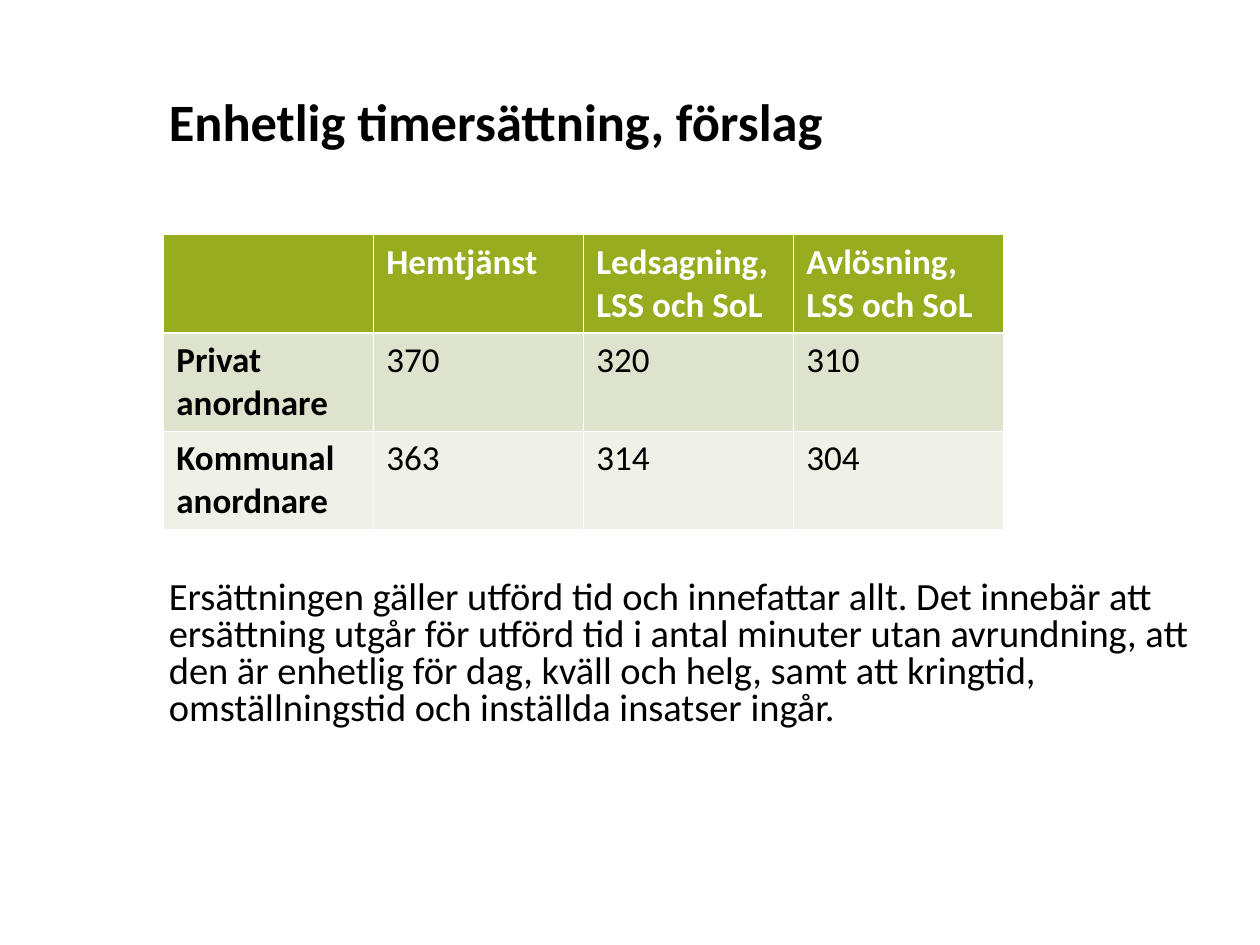
import pptx
import pptx.util
import pptx.dml.color
import pptx.enum.text
import pptx.oxml
import pptx.oxml.ns
from dataclasses import dataclass

Pt = pptx.util.Pt
RGB = pptx.dml.color.RGBColor.from_string

TITLE = "Enhetlig timersättning, förslag"
BODY = (
    "Ersättningen gäller utförd tid och innefattar allt. Det innebär att "
    "ersättning utgår för utförd tid i antal minuter utan avrundning, att "
    "den är enhetlig för dag, kväll och helg, samt att kringtid, "
    "omställningstid och inställda insatser ingår."
)
RATES = [
    ("", "Hemtjänst", "Ledsagning,\nLSS och SoL", "Avlösning,\nLSS och SoL"),
    ("Privat anordnare", "370", "320", "310"),
    ("Kommunal anordnare", "363", "314", "304"),
]


@dataclass(frozen=True)
class Theme:
    font: str = "Calibri"
    title_size: float = 30
    body_size: float = 22
    table_size: float = 20
    ink: str = "000000"
    white: str = "FFFFFF"
    row_fills: tuple = ("97AC1E", "DDE3CC", "EFF1E7")
    thin_rule: float = 0.45
    header_rule: float = 1.47


THEME = Theme()
TEXT_LEFT, TEXT_WIDTH = 89.3, 611.3
TITLE_TOP, TITLE_HEIGHT = 21.6, 90
BODY_TOP, BODY_HEIGHT = 126, 331.2
BODY_TEXT_OFFSET = 206  # clears the table lying over the upper body
TABLE_LEFT, TABLE_TOP = 93.6, 134
COLUMN_WIDTH, ROW_HEIGHT = 120, 56.2


def style_runs(frame, size, colour, bold=False):
    for para in frame.paragraphs:
        for span in para.runs:
            span.font.name = THEME.font
            span.font.size = Pt(size)
            span.font.bold = bold
            span.font.color.rgb = RGB(colour)


def place(shape, left, top, width, height):
    shape.left, shape.top = Pt(left), Pt(top)
    shape.width, shape.height = Pt(width), Pt(height)


def fill_placeholder(box, text, top, height, size, spacing, anchor, bold=False):
    place(box, TEXT_LEFT, top, TEXT_WIDTH, height)
    frame = box.text_frame
    frame.text = text
    frame.word_wrap = True
    frame.auto_size = pptx.enum.text.MSO_AUTO_SIZE.NONE
    frame.vertical_anchor = anchor
    para = frame.paragraphs[0]
    para.alignment = pptx.enum.text.PP_ALIGN.LEFT
    para.line_spacing = spacing
    para.space_before = Pt(0)
    style_runs(frame, size, THEME.ink, bold)
    return frame


def remove_bullet(para):
    properties = para._p.get_or_add_pPr()
    properties.set("marL", "0")
    properties.set("indent", "0")
    properties.append(properties.makeelement(pptx.oxml.ns.qn("a:buNone"), {}))


def set_borders(cell, row):
    """Draw thin white rules, with a thicker one beneath the header row."""
    widths = {
        "L": THEME.thin_rule,
        "R": THEME.thin_rule,
        "T": THEME.header_rule if row == 1 else THEME.thin_rule,
        "B": THEME.header_rule if row == 0 else THEME.thin_rule,
    }
    properties = cell._tc.get_or_add_tcPr()
    for index, (side, width) in enumerate(widths.items()):
        rule = pptx.oxml.parse_xml(
            f'<a:ln{side} {pptx.oxml.ns.nsdecls("a")} w="{int(Pt(width))}">'
            f'<a:solidFill><a:srgbClr val="{THEME.white}"/></a:solidFill>'
            f"</a:ln{side}>"
        )
        properties.insert(index, rule)


def add_rate_table(page):
    rows, columns = len(RATES), len(RATES[0])
    table = page.shapes.add_table(
        rows, columns, Pt(TABLE_LEFT), Pt(TABLE_TOP),
        Pt(columns * COLUMN_WIDTH), Pt(rows * ROW_HEIGHT),
    ).table
    for row, texts in enumerate(RATES):
        for column, text in enumerate(texts):
            cell = table.cell(row, column)
            cell.text = text
            cell.fill.solid()
            cell.fill.fore_color.rgb = RGB(THEME.row_fills[row])
            set_borders(cell, row)
            colour = THEME.white if row == 0 else THEME.ink
            style_runs(cell.text_frame, THEME.table_size, colour,
                       bold=row == 0 or column == 0)


def main():
    deck = pptx.Presentation()
    deck.slide_width, deck.slide_height = Pt(720), Pt(540)
    page = deck.slides.add_slide(deck.slide_layouts[1])
    anchors = pptx.enum.text.MSO_ANCHOR

    fill_placeholder(page.shapes.title, TITLE, TITLE_TOP, TITLE_HEIGHT,
                     THEME.title_size, Pt(40), anchors.MIDDLE, bold=True)
    body = fill_placeholder(page.placeholders[1], BODY, BODY_TOP, BODY_HEIGHT,
                            THEME.body_size, 0.8, anchors.TOP)
    body.margin_top = Pt(BODY_TEXT_OFFSET)
    remove_bullet(body.paragraphs[0])
    add_rate_table(page)
    deck.save("out.pptx")


if __name__ == "__main__":
    main()
